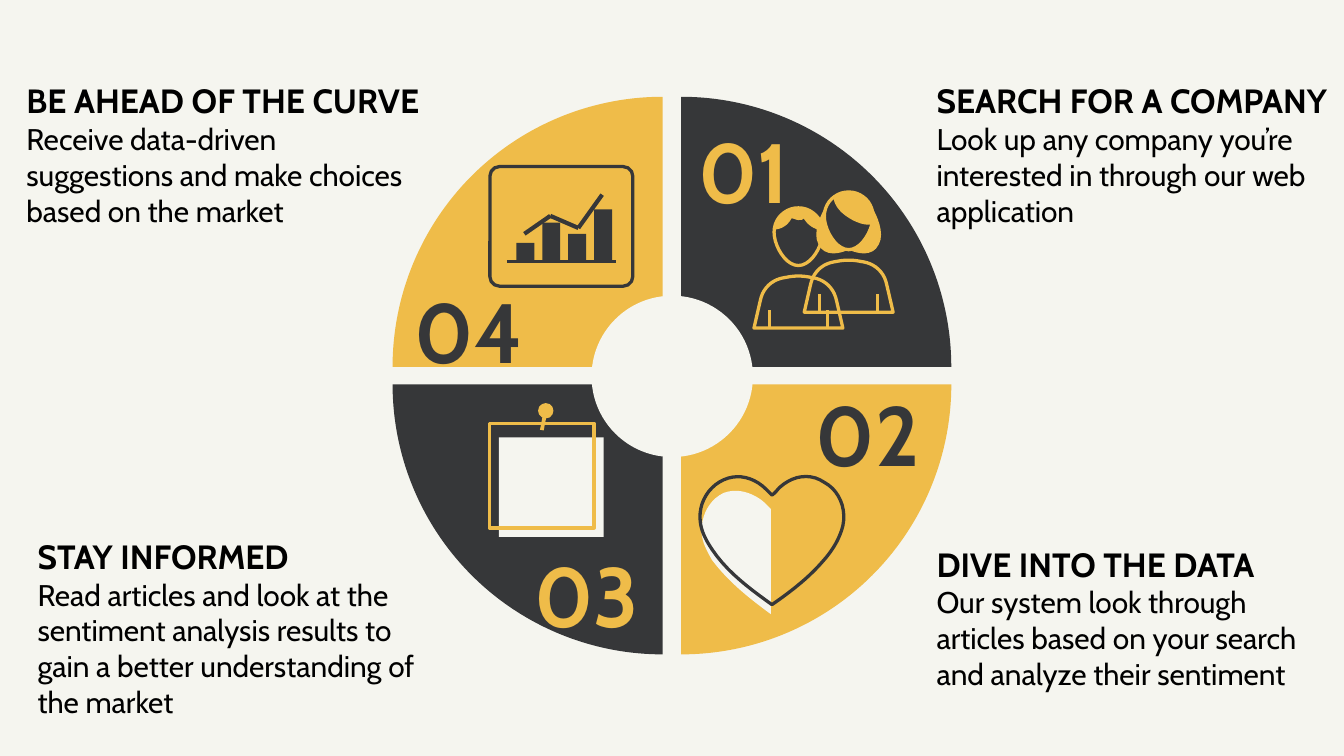
import pptx
import pptx.dml.color
import pptx.enum.shapes
import pptx.enum.text
import pptx.oxml
import pptx.util

Cm = pptx.util.Cm
Pt = pptx.util.Pt
RGB = pptx.dml.color.RGBColor.from_string
SHAPE = pptx.enum.shapes.MSO_SHAPE
ALIGN = pptx.enum.text.PP_ALIGN

COLORS = {"paper": "F5F5EF", "gold": "EFBC49", "dark": "363739", "black": "000000"}
CURVE_STEPS = 10

deck = pptx.Presentation()
deck.slide_width, deck.slide_height = Cm(25.4), Cm(14.29)
page = deck.slides.add_slide(deck.slide_layouts[6])
page.background.fill.solid()
page.background.fill.fore_color.rgb = RGB(COLORS["paper"])


def draw_outline(start, steps, origin=(0, 0), mirror=1, fill=None, line=None, width=1.75):
    """Closed outline in cm; a step is a corner (x, y) or a cubic curve (x1, y1, x2, y2, x, y)."""
    points = [start]
    for step in steps:
        if len(step) == 2:
            points.append(step)
            continue
        controls = [points[-1], step[0:2], step[2:4], step[4:6]]
        for index in range(1, CURVE_STEPS + 1):
            t = index / CURVE_STEPS
            weights = ((1 - t) ** 3, 3 * t * (1 - t) ** 2, 3 * t * t * (1 - t), t ** 3)
            points.append(tuple(sum(w * c[axis] for w, c in zip(weights, controls)) for axis in (0, 1)))
    placed = [(Cm(origin[0] + mirror * x), Cm(origin[1] + y)) for x, y in points]
    builder = page.shapes.build_freeform(*placed[0])
    builder.add_line_segments(placed[1:], close=True)
    shape = builder.convert_to_shape()
    shape.shadow.inherit = False
    if fill:
        shape.fill.solid()
        shape.fill.fore_color.rgb = RGB(COLORS[fill])
    else:
        shape.fill.background()
    if line:
        shape.line.color.rgb = RGB(COLORS[line])
        shape.line.width = Pt(width)
    else:
        shape.line.fill.background()


def write(frame, text, size=16, color="black", bold=False, align=ALIGN.LEFT):
    """Add one paragraph to a text frame."""
    para = frame.paragraphs[0]
    if para.runs:
        para = frame.add_paragraph()
    para.alignment = align
    span = para.add_run()
    span.text = text
    span.font.name = "Cabin"
    span.font.size = Pt(size)
    span.font.bold = bold
    span.font.color.rgb = RGB(COLORS[color])


# Ring, chart card, bars and pinned note: kind, left, top, width, height, fill, line, adjustments
presets = [
    (SHAPE.PIE, 7.42, 1.83, 10.21, 10.21, "gold", None, (108, 162)),
    (SHAPE.PIE, 7.77, 1.83, 10.21, 10.21, "dark", None, (162, 0)),
    (SHAPE.PIE, 7.42, 2.16, 10.21, 10.21, "dark", None, (54, 108)),
    (SHAPE.PIE, 7.77, 2.16, 10.21, 10.21, "gold", None, (0, 54)),
    (SHAPE.OVAL, 11.18, 5.59, 3.05, 3.05, "paper", None, ()),
    (SHAPE.ROUNDED_RECTANGLE, 9.26, 3.15, 2.7, 2.26, None, "dark", (0.08,)),
    (SHAPE.RECTANGLE, 9.43, 8.27, 1.98, 1.88, "paper", None, ()),
    (SHAPE.RECTANGLE, 9.25, 8, 1.98, 1.98, None, "gold", ()),
    (SHAPE.OVAL, 10.17, 7.62, 0.29, 0.29, "gold", None, ()),
]
for index, height in enumerate((0.36, 0.74, 0.53, 0.99)):
    presets.append((SHAPE.RECTANGLE, 9.76 + 0.49 * index, 4.95 - height, 0.34, height, "dark", None, ()))

for kind, left, top, width, height, fill, line, adjustments in presets:
    shape = page.shapes.add_shape(kind, Cm(left), Cm(top), Cm(width), Cm(height))
    shape.shadow.inherit = False
    for index, value in enumerate(adjustments):
        shape.adjustments[index] = value
    if fill:
        shape.fill.solid()
        shape.fill.fore_color.rgb = RGB(COLORS[fill])
    else:
        shape.fill.background()
    if line:
        shape.line.color.rgb = RGB(COLORS[line])
        shape.line.width = Pt(1.75)
    else:
        shape.line.fill.background()

# Straight strokes: start, end, colour, width
trend = [(9.91, 4.42), (10.4, 4.08), (10.93, 4.31), (11.38, 3.68)]
strokes = [(start, end, "dark", 2.25) for start, end in zip(trend, trend[1:])]
strokes.append(((9.58, 4.94), (11.65, 4.94), "dark", 1.75))
strokes.append(((10.3, 7.82), (10.24, 8.13), "gold", 2))

# Two people: head, torso and arms are shared, hair differs
woman, man = (16.04, 3.63), (15.09, 3.93)
head = [(0.25, 0, 0.46, 0.2, 0.46, 0.46), (0.46, 0.71, 0.25, 1.09, 0, 1.09),
        (-0.25, 1.09, -0.46, 0.71, -0.46, 0.46), (-0.46, 0.2, -0.25, 0, 0, 0)]
torso = [(-0.72, 1.75), (-0.67, 1.51, -0.5, 1.36, -0.28, 1.32), (-0.22, 1.31),
         (-0.08, 1.28, 0.08, 1.28, 0.22, 1.31), (0.28, 1.32),
         (0.5, 1.36, 0.67, 1.51, 0.72, 1.75), (0.84, 2.27)]
fringe = [(-0.11, 0, -0.22, 0.05, -0.29, 0.1), (-0.27, 0.25, -0.17, 0.38, -0.01, 0.48),
          (0.14, 0.58, 0.32, 0.64, 0.44, 0.61), (0.44, 0.56, 0.47, 0.51, 0.47, 0.46),
          (0.47, 0.2, 0.27, 0, 0, 0)]
long_hair = [(0.47, 0.38, 0.44, 0.3, 0.42, 0.25), (0.42, 0.25, 0.72, 0.71, 0.57, 0.99),
             (0.42, 1.3, 0, 1.09, 0, 1.09), (0.27, 1.09, 0.47, 0.71, 0.47, 0.46)]
short_hair = [(-0.23, 0, -0.43, 0.18, -0.46, 0.41), (-0.3, 0.41, -0.18, 0.3, -0.13, 0.2),
              (-0.08, 0.2, -0.05, 0.23, 0, 0.23), (0.05, 0.23, 0.08, 0.23, 0.1, 0.2),
              (0.18, 0.33, 0.3, 0.41, 0.46, 0.43), (0.43, 0.18, 0.23, 0, 0, 0)]

draw_outline((0, 0), fringe, origin=woman, fill="gold")
draw_outline((0, 0), short_hair, origin=man, fill="gold")
for side in (-1, 1):
    draw_outline((0.47, 0.46), long_hair, origin=woman, mirror=side, fill="gold")
for x, y in (woman, man):
    draw_outline((0, 0), head, origin=(x, y), line="gold")
    draw_outline((-0.84, 2.27), torso, origin=(x, y), line="gold")
    for arm in (x - 0.55, x + 0.55):
        strokes.append(((arm, y + 1.93), (arm, y + 2.27), "gold", 1.75))

# Heart with a pale left half
half_heart = [(14.22, 9.3, 13.92, 9.22, 13.67, 9.32), (13.41, 9.45, 13.26, 9.73, 13.26, 10.03),
              (13.26, 10.24, 13.36, 10.41, 13.46, 10.59), (13.77, 11, 14.15, 11.3, 14.57, 11.61),
              (14.57, 9.62)]
heart = [(14.66, 9.31, 14.69, 9.26, 14.73, 9.22), (14.99, 8.98, 15.32, 8.94, 15.58, 9.12),
         (15.86, 9.27, 16, 9.61, 15.93, 9.94), (15.86, 10.22, 15.7, 10.44, 15.57, 10.59),
         (15.29, 10.92, 14.95, 11.18, 14.59, 11.43), (14.17, 11.13, 13.75, 10.82, 13.46, 10.39),
         (13.31, 10.17, 13.23, 9.98, 13.23, 9.78), (13.22, 9.49, 13.4, 9.19, 13.68, 9.07),
         (13.94, 8.95, 14.25, 9.02, 14.48, 9.25)]
draw_outline((14.45, 9.5), half_heart, fill="paper")
draw_outline((14.59, 9.36), heart, line="dark")

for start, end, color, width in strokes:
    stroke = page.shapes.add_connector(
        pptx.enum.shapes.MSO_CONNECTOR.STRAIGHT, *(Cm(value) for value in start + end))
    stroke.line.color.rgb = RGB(COLORS[color])
    stroke.line.width = Pt(width)
    stroke._element.spPr.append(pptx.oxml.parse_xml(
        '<a:effectLst xmlns:a="http://schemas.openxmlformats.org/drawingml/2006/main"/>'))

# Text boxes: left, top, width, height, paragraphs with their format
number = {"size": 45, "bold": True}
title = {"size": 18, "bold": True}
texts = [
    (12.95, 2.01, 3.3, 2.44, [("01", {**number, "color": "gold"})]),
    (14.33, 6.99, 3.3, 2.44, [("02", {**number, "color": "dark", "align": ALIGN.RIGHT})]),
    (9.02, 10.03, 3.3, 2.44, [("03", {**number, "color": "gold", "align": ALIGN.RIGHT})]),
    (7.59, 5.03, 3.3, 2.44, [("04", {**number, "color": "dark"})]),
    (17.45, 1.27, 7.95, 3.33, [
        ("SEARCH FOR A COMPANY", title),
        ("Look up any company you’re interested in through our web application", {})]),
    (0.25, 1.27, 7.95, 3.33, [
        ("BE AHEAD OF THE CURVE", title),
        ("Receive data-driven suggestions and make choices based on the market", {})]),
    (0.46, 9.88, 7.95, 4.01, [
        ("STAY INFORMED", title),
        ("Read articles and look at the sentiment analysis results to gain a better "
         "understanding of the market", {})]),
    (17.45, 10.03, 7.95, 3.33, [
        ("DIVE INTO THE DATA", title),
        ("Our system look through articles based on your search and analyze their sentiment", {})]),
]
for left, top, width, height, paragraphs in texts:
    frame = page.shapes.add_textbox(Cm(left), Cm(top), Cm(width), Cm(height)).text_frame
    frame.word_wrap = True
    frame.auto_size = pptx.enum.text.MSO_AUTO_SIZE.SHAPE_TO_FIT_TEXT
    frame.margin_left = frame.margin_right = frame.margin_top = frame.margin_bottom = Cm(0.25)
    for text, style in paragraphs:
        write(frame, text, **style)

deck.save("out.pptx")
